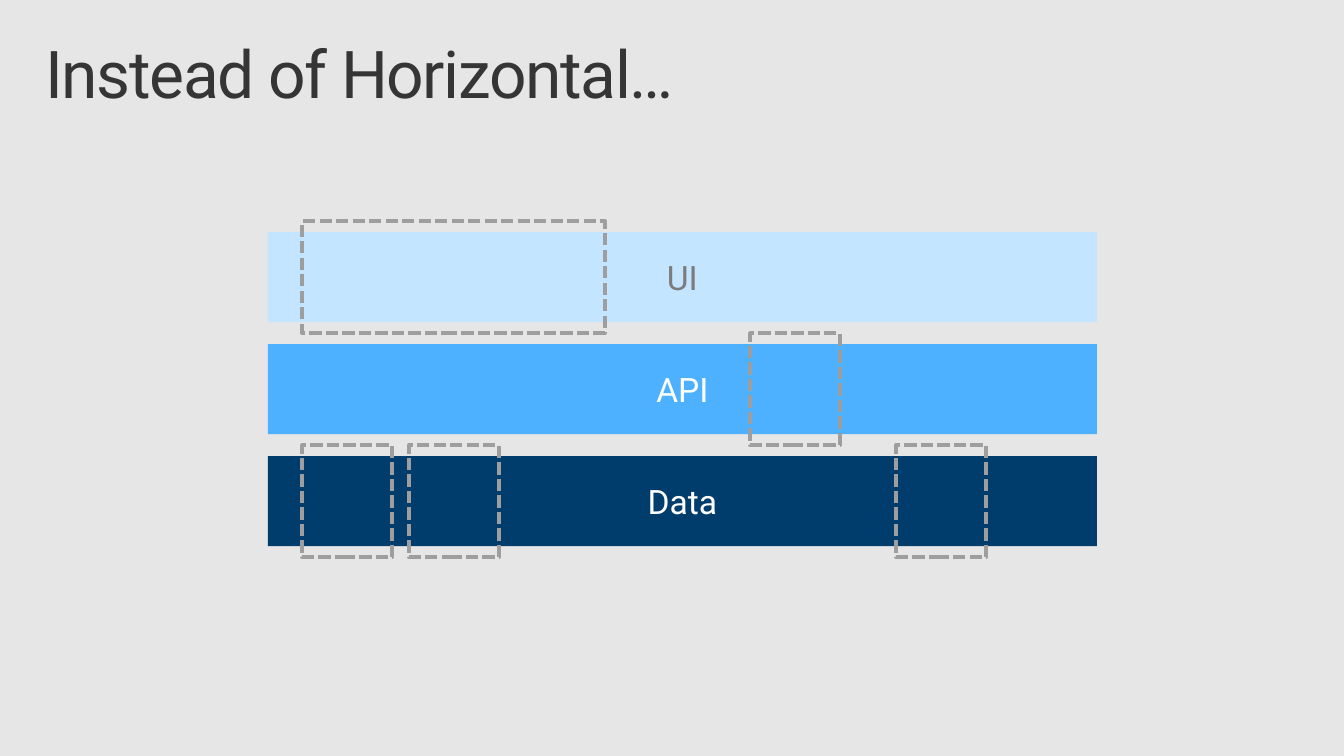
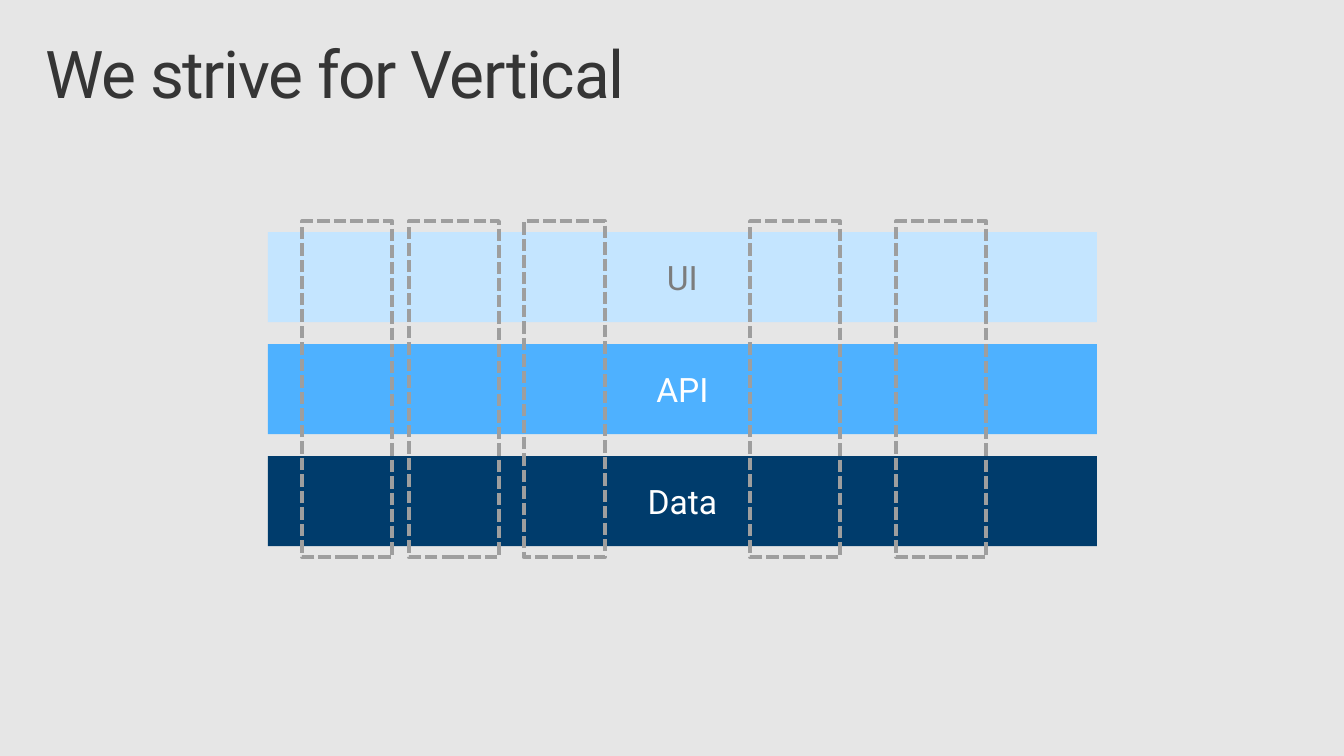
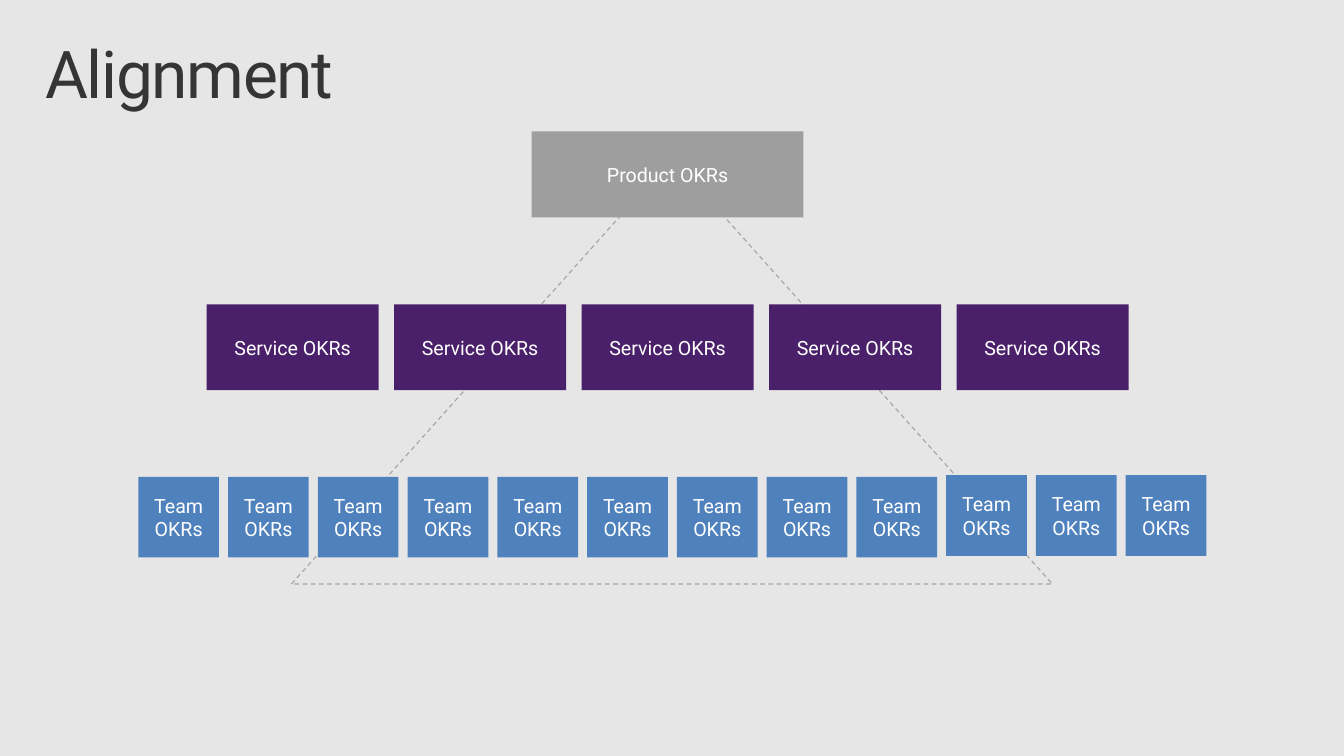
from typing import Any, NamedTuple

from pptx import Presentation
from pptx import util as u
from pptx.dml.color import RGBColor
from pptx.enum import dml, shapes, text

FONT = "Roboto"
BACKGROUND, TITLE, WHITE = "E6E6E6", "353535", "FFFFFF"
GREY, MID_GREY, DARK_GREY = "9E9E9E", "A6A6A6", "7C7C7C"
PALE_BLUE, SKY_BLUE, NAVY = "C4E5FF", "4EB1FF", "003C6C"
PURPLE, TEAM_BLUE = "4A206A", "4F81BD"

TITLE_FRAME = {
    "word_wrap": True,
    "margin_left": u.Pt(11.5), "margin_right": u.Pt(11.5),
    "margin_top": u.Pt(7.2), "margin_bottom": u.Pt(7.2),
}
LABEL_FRAME = {"word_wrap": True, "vertical_anchor": text.MSO_ANCHOR.MIDDLE}

BAND_LEFT, BAND_TOP, BAND_WIDTH, BAND_HEIGHT = 195.2, 169.2, 604, 65.5
BAND_PITCH = 81.6
FRAME_TOP = BAND_TOP - (BAND_PITCH - BAND_HEIGHT) / 2
FRAME_WIDTH = 65.5


class Box(NamedTuple):
    left: float
    top: float
    width: float
    height: float


class Band(NamedTuple):
    label: str
    fill: str
    color: str


class Frame(NamedTuple):
    """A dashed outline around one or more bands."""
    left: float
    first_band: int = 0
    bands: int = 1
    width: float = FRAME_WIDTH


class OkrRow(NamedTuple):
    label: str
    fill: str
    count: int
    first: Box
    pitch: float = 0


BANDS = [
    Band("UI", PALE_BLUE, DARK_GREY),
    Band("API", SKY_BLUE, WHITE),
    Band("Data", NAVY, WHITE),
]
HORIZONTAL = [
    Frame(220.3, 0, width=220.3),
    Frame(546.5, 1),
    Frame(220.3, 2),
    Frame(298, 2),
    Frame(653, 2),
]
VERTICAL = [
    Frame(381.6, bands=3, width=59),
    *(Frame(left, bands=3) for left in (546.5, 220.3, 298, 653)),
]

TEAM_LEFT, TEAM_PITCH, TEAM_SIDE = 100.8, 65.4, 58.8
OKR_ROWS = [
    OkrRow("Product OKRs", GREY, 1, Box(387.4, 95.8, 198, 62.6)),
    OkrRow("Service OKRs", PURPLE, 5, Box(150.6, 221.7, 125.3, 62.6), 136.6),
    OkrRow("Team OKRs", TEAM_BLUE, 9,
           Box(TEAM_LEFT, 347.4, TEAM_SIDE, TEAM_SIDE), TEAM_PITCH),
    OkrRow("Team OKRs", TEAM_BLUE, 3,
           Box(TEAM_LEFT + 9 * TEAM_PITCH, 346.2, TEAM_SIDE, TEAM_SIDE), TEAM_PITCH),
]


def rgb(color: str) -> RGBColor:
    return RGBColor.from_string(color)


def apply(target: Any, values: dict[str, Any]) -> None:
    for name, value in values.items():
        setattr(target, name, value)


def write(paragraph: Any, words: str, size: float, color: str) -> Any:
    """Add the words as one run and return it."""
    run = paragraph.add_run()
    run.text = words
    apply(run.font, {"name": FONT, "size": u.Pt(size)})
    run.font.color.rgb = rgb(color)
    return run


def add_slide(prs: Any, title: str) -> Any:
    slide = prs.slides.add_slide(prs.slide_layouts[6])
    heading = slide.shapes.add_textbox(*map(u.Pt, Box(21.6, 23, 936, 72))).text_frame
    apply(heading, TITLE_FRAME)
    heading.paragraphs[0].line_spacing = 0.9
    run = write(heading.paragraphs[0], title, 48, TITLE)
    run.font._element.set("spc", "-100")
    return slide


def add_block(parent: Any, box: Box, fill: str, label: str, size: float,
              color: str = WHITE) -> None:
    """Draw a filled rectangle with a centred label."""
    block = parent.add_shape(shapes.MSO_SHAPE.RECTANGLE, *map(u.Pt, box))
    block.shadow.inherit = False
    block.fill.solid()
    block.fill.fore_color.rgb = rgb(fill)
    block.line.fill.background()
    apply(block.text_frame, LABEL_FRAME)
    paragraph = block.text_frame.paragraphs[0]
    paragraph.alignment = text.PP_ALIGN.CENTER
    write(paragraph, label, size, color)


def add_outline(parent: Any, kind: Any, box: Box, color: str, width: float,
                dash: Any) -> None:
    outline = parent.add_shape(kind, *map(u.Pt, box))
    outline.shadow.inherit = False
    outline.fill.background()
    outline.line.color.rgb = rgb(color)
    apply(outline.line, {"width": u.Pt(width), "dash_style": dash})


def add_layers_slide(prs: Any, title: str, frames: list[Frame]) -> None:
    """Show the three bands and the frames that cut through them."""
    slide = add_slide(prs, title)
    for i, band in enumerate(BANDS):
        box = Box(BAND_LEFT, BAND_TOP + i * BAND_PITCH, BAND_WIDTH, BAND_HEIGHT)
        add_block(slide.shapes, box, band.fill, band.label, 24.5, band.color)
    for frame in frames:
        box = Box(frame.left, FRAME_TOP + frame.first_band * BAND_PITCH,
                  frame.width, frame.bands * BAND_PITCH)
        add_outline(slide.shapes, shapes.MSO_SHAPE.RECTANGLE, box, GREY, 3,
                    dml.MSO_LINE.SQUARE_DOT)


def add_alignment_slide(prs: Any) -> None:
    slide = add_slide(prs, "Alignment")
    add_outline(slide.shapes, shapes.MSO_SHAPE.ISOSCELES_TRIANGLE,
                Box(212.4, 115.2, 554.4, 310.3), MID_GREY, 0.85, dml.MSO_LINE.DASH)
    for row in OKR_ROWS:
        for i in range(row.count):
            box = row.first._replace(left=row.first.left + i * row.pitch)
            add_block(slide.shapes, box, row.fill, row.label, 14.3)


def main() -> None:
    prs = Presentation()
    apply(prs, {"slide_width": u.Pt(979.2), "slide_height": u.Pt(550.8)})
    backdrop = prs.slide_master.background.fill
    backdrop.solid()
    backdrop.fore_color.rgb = rgb(BACKGROUND)

    add_layers_slide(prs, "Instead of Horizontal…", HORIZONTAL)
    add_layers_slide(prs, "We strive for Vertical", VERTICAL)
    add_alignment_slide(prs)
    prs.save("out.pptx")


if __name__ == "__main__":
    main()
